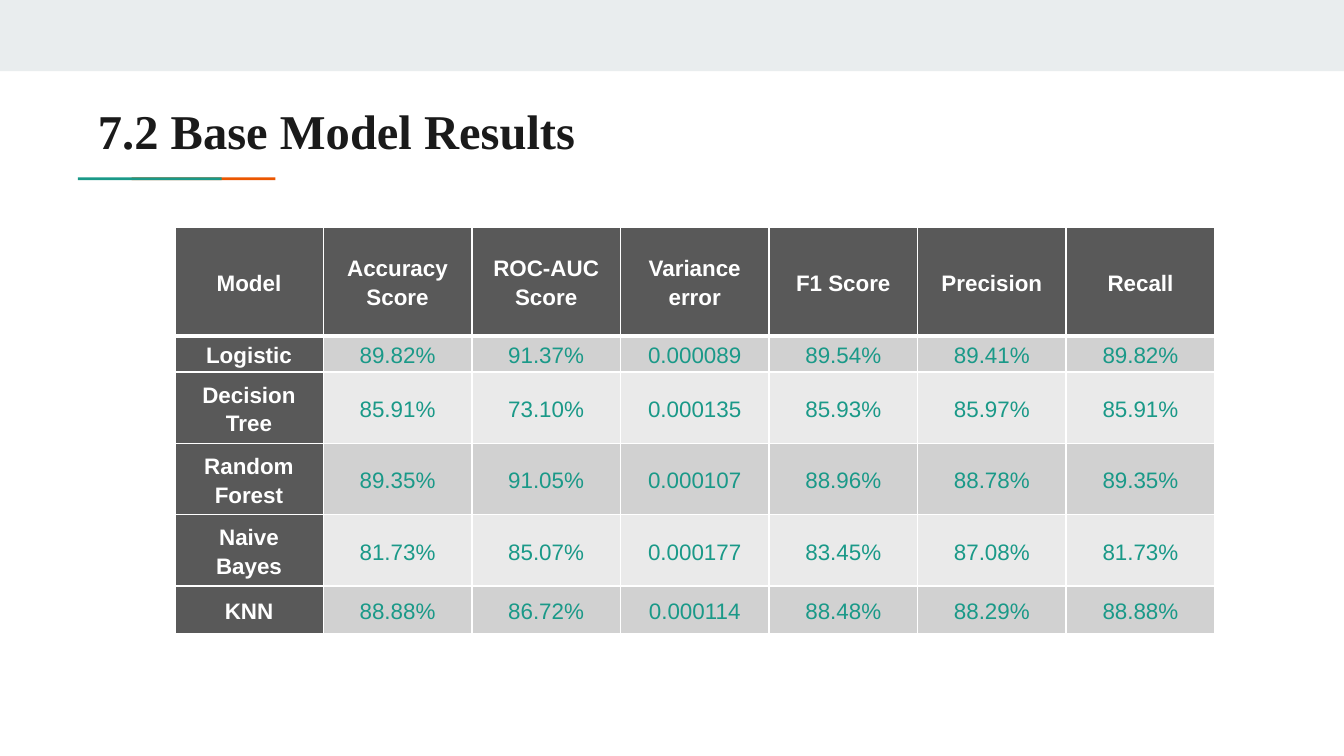
from lxml import etree
from pptx import Presentation
from pptx.dml.color import RGBColor
from pptx.enum.shapes import MSO_SHAPE
from pptx.enum.text import MSO_ANCHOR, PP_ALIGN
from pptx.oxml.ns import qn
from pptx.util import Inches, Pt

RECT = MSO_SHAPE.RECTANGLE
MID, TOP = MSO_ANCHOR.MIDDLE, MSO_ANCHOR.TOP
MIDDLE = PP_ALIGN.CENTER
WIDE = 10
HIGH = WIDE * 9 / 16
WHITE, DARK, TEAL, ORANGE = "FFFFFF", "595959", "1A9988", "EB5600"
BANDS = "D1D1D1", "EAEAEA"
COL, ROWS = 7.74 / 7, (0.81, 0.27, 0.53, 0.53, 0.53, 0.36)
CELL = {"margin_left": Inches(0.07), "margin_right": Inches(0.07),
        "margin_top": 0, "margin_bottom": 0, "vertical_anchor": MID}
DATA = [
    ["Model", "Accuracy Score", "ROC-AUC Score", "Variance error",
     "F1 Score", "Precision", "Recall"],
    ["Logistic", "89.82%", "91.37%", "0.000089", "89.54%", "89.41%", "89.82%"],
    ["Decision Tree", "85.91%", "73.10%", "0.000135", "85.93%", "85.97%", "85.91%"],
    ["Random Forest", "89.35%", "91.05%", "0.000107", "88.96%", "88.78%", "89.35%"],
    ["Naive Bayes", "81.73%", "85.07%", "0.000177", "83.45%", "87.08%", "81.73%"],
    ["KNN", "88.88%", "86.72%", "0.000114", "88.48%", "88.29%", "88.88%"],
]


def paint(fill, tone):
    """Give a fill a solid colour from a hex string."""
    fill.solid()
    fill.fore_color.rgb = RGBColor.from_string(tone)


def apply(thing, form):
    """Set each attribute named in a dict of format values."""
    for name, value in form.items():
        setattr(thing, name, value)


def write(para, text, tone, **form):
    """Put text with its font values in a paragraph."""
    run = para.add_run()
    run.text = text
    apply(run.font, form)
    paint(run.font.fill, tone)


def bar(slide, box, tone):
    """Add a plain filled bar."""
    shape = slide.shapes.add_shape(RECT, *map(Inches, box))
    shape.shadow.inherit = False
    shape.line.fill.background()
    paint(shape.fill, tone)


def title(slide, text):
    """Add the slide title."""
    frame = slide.shapes.add_textbox(
        *map(Inches, (0.63, 0.65, 8.41, 0.59))).text_frame
    apply(frame, dict.fromkeys(
        ("margin_left", "margin_right", "margin_top", "margin_bottom"), Inches(0.1)))
    apply(frame, {"word_wrap": True, "vertical_anchor": TOP})
    write(frame.paragraphs[0], text, "1A1A1A",
          name="Times New Roman", size=Pt(26), bold=True)


def edge(cell, side, width):
    """Draw a white border on one side of a cell."""
    line = etree.SubElement(cell._tc.get_or_add_tcPr(), qn(f"a:ln{side}"),
                            w=str(Pt(width)))
    solid = etree.SubElement(line, qn("a:solidFill"))
    etree.SubElement(solid, qn("a:srgbClr"), val=WHITE)


def fill_cell(cell, text, row, col):
    """Style one cell by its place in the table."""
    head = row == 0 or col == 0
    for side in "LRTB":
        thick = (row, side) in ((0, "B"), (1, "T"))
        edge(cell, side, 3 if thick else 1)
    paint(cell.fill, DARK if head else BANDS[(row - 1) % 2])
    apply(cell, CELL)
    para = cell.text_frame.paragraphs[0]
    apply(para, {"alignment": MIDDLE, "line_spacing": 1.15})
    write(para, text, WHITE if head else TEAL,
          name="Arial", size=Pt(12), bold=head)


def grid(slide):
    """Add the table of model scores."""
    cols = len(DATA[0])
    box = map(Inches, (1.3, 1.69, COL * cols, sum(ROWS)))
    table = slide.shapes.add_table(len(DATA), cols, *box).table
    for col in table.columns:
        col.width = Inches(COL)
    for row, line in enumerate(DATA):
        table.rows[row].height = Inches(ROWS[row])
        for col, text in enumerate(line):
            fill_cell(table.cell(row, col), text, row, col)


def main():
    """Build and save the slide."""
    deck = Presentation()
    deck.slide_width = Inches(WIDE)
    deck.slide_height = Inches(HIGH)
    slide = deck.slides.add_slide(deck.slide_layouts[6])
    bar(slide, (0, 0, WIDE, 0.53), "E9EDEE")
    for left, tone in ((0.98, ORANGE), (0.58, TEAL)):
        bar(slide, (left, 1.32, 1.07, 0.02), tone)
    title(slide, "7.2 Base Model Results")
    grid(slide)
    deck.save("out.pptx")


if __name__ == "__main__":
    main()
